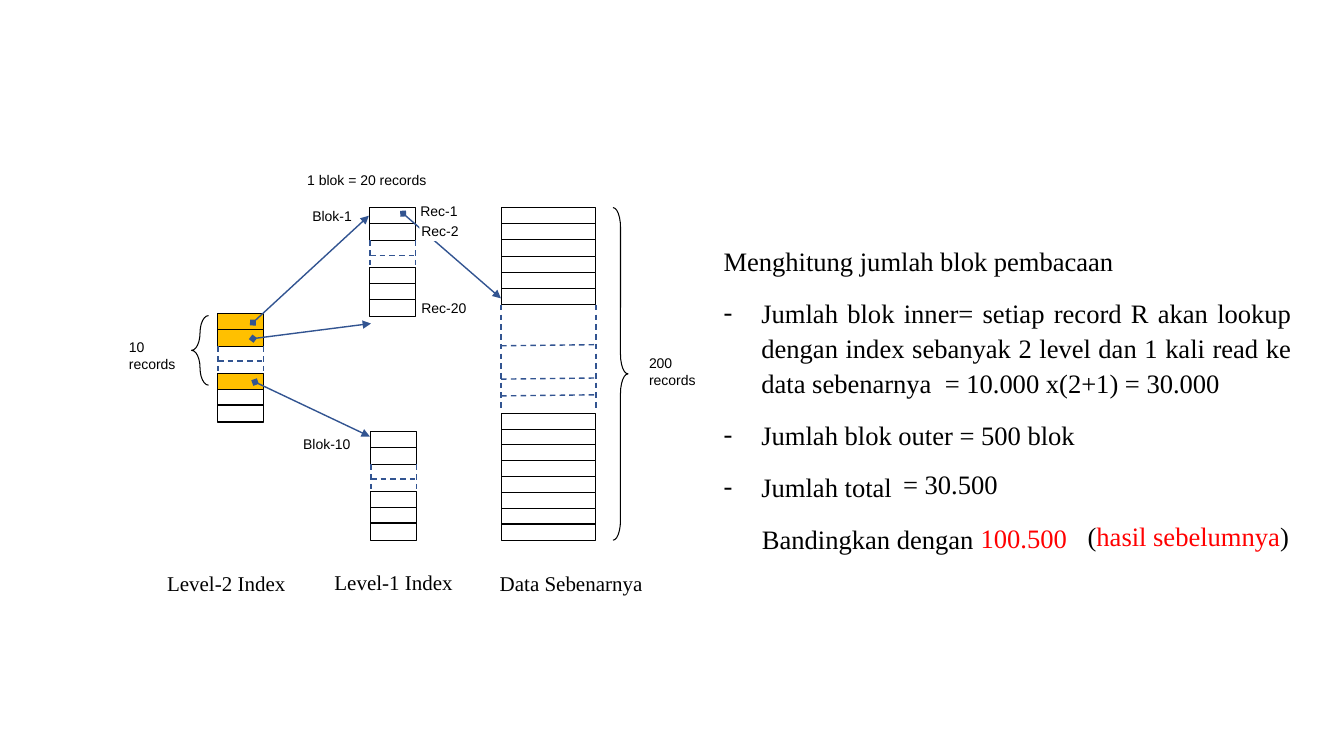
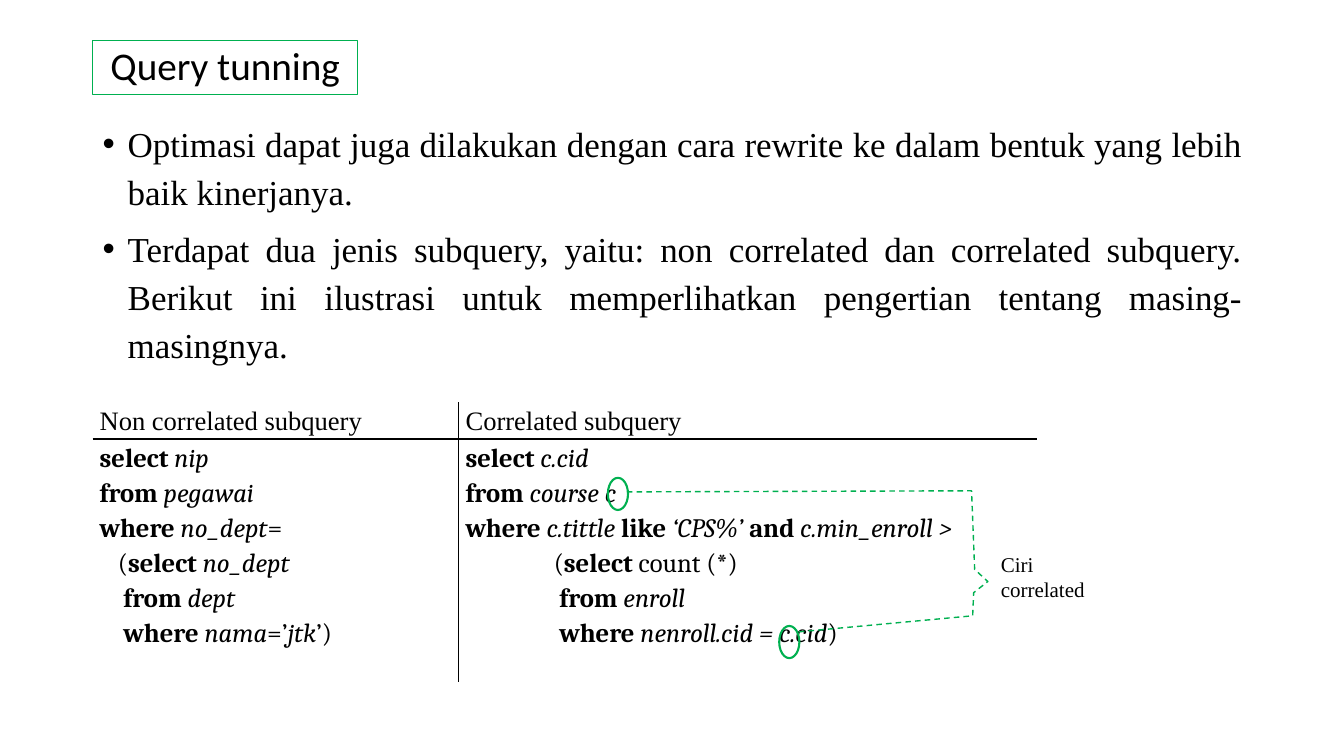
from collections import namedtuple
from dataclasses import dataclass

from lxml.etree import SubElement
from pptx import Presentation
from pptx.dml.color import RGBColor
from pptx.enum.dml import MSO_LINE
from pptx.enum.shapes import MSO_CONNECTOR, MSO_SHAPE
from pptx.enum.text import MSO_ANCHOR, PP_ALIGN
from pptx.oxml import parse_xml
from pptx.oxml.ns import nsdecls, qn
from pptx.util import Pt

Box = namedtuple("Box", "x y w h")


@dataclass(frozen=True)
class Theme:
    """Colours, fonts and type sizes shared by the slides."""
    black: str = "000000"
    white: str = "FFFFFF"
    blue: str = "325491"
    amber: str = "FFC000"
    red: str = "FF0000"
    green: str = "00B050"
    serif: str = "Times New Roman"
    sans: str = "Arial"
    head: str = "Calibri"
    code: str = "Cambria"
    note: int = 10
    label: int = 15
    text: int = 19
    body: int = 25
    title: int = 28


THEME = Theme()
PLAIN_GRID = "{2D5ABB26-0587-4C30-8999-92F81FD0307C}"

NOTES = [
    ("1 blok = 20 records", Box(127.4, 0, 105, 22)),
    ("Blok-1", Box(131, 25.7, 46, 15)),
    ("Blok-10", Box(124.5, 188.4, 53, 20)),
    ("10 records", Box(0, 119.3, 51, 40)),
    ("200 records", Box(371.5, 130.8, 51, 40)),
]
RECORDS = [
    ("Rec-1", Box(213.8, 24.3, 33, 14.4)),
    ("Rec-2", Box(214.5, 38.7, 33, 14.4)),
    ("Rec-20", Box(214.5, 93.4, 45, 14.4)),
]
LEVELS = [
    ("Level-2 Index", Box(27.3, 284.9, 124, 34)),
    ("Level-1 Index", Box(146.8, 284.2, 104, 34)),
    ("Data Sebenarnya", Box(264.9, 284.9, 124, 34)),
]
ARROWS = [
    (95.7, 111.4, 178.5, 35.1),
    (95.7, 122.9, 180, 112.1),
    (97.2, 153.9, 179.2, 192.8),
    (203, 33.6, 272.8, 94.1),
]
COUNTS = [
    "Jumlah blok inner= setiap record R akan lookup dengan index sebanyak "
    "2 level dan 1 kali read ke data sebenarnya  = 10.000 x(2+1) = 30.000",
    "Jumlah blok outer = 500 blok",
    "Jumlah total",
]
POINTS = [
    "Optimasi dapat juga dilakukan dengan cara rewrite ke dalam bentuk yang "
    "lebih baik kinerjanya.",
    "Terdapat dua jenis subquery, yaitu: non correlated dan correlated "
    "subquery. Berikut ini ilustrasi untuk memperlihatkan pengertian tentang "
    "masing-masingnya.",
]
SIMPLE = [
    (0, [("select ", "b"), ("nip", "i")]),
    (0, [("from ", "b"), ("pegawai", "i")]),
    (0, [("where ", "b"), ("no_dept", "i"), ("=", "")]),
    (13, [("(", ""), ("select ", "b"), ("no_dept", "i")]),
    (17, [("from ", "b"), ("dept", "i")]),
    (17, [("where ", "b"), ("nama", "i"), ("=’", ""), ("jtk", "i"), ("’)", "")]),
]
LINKED = [
    (0, [("select ", "b"), ("c.cid", "i")]),
    (0, [("from ", "b"), ("course c", "i")]),
    (0, [("where ", "b"), ("c.tittle ", "i"), ("like", "b"), (" ‘CPS%’ ", "i"),
         ("and ", "b"), ("c.min_enroll >", "i")]),
    (63, [("(", ""), ("select", "b"), (" count (*)", "")]),
    (67, [("from ", "b"), ("enroll", "i")]),
    (67, [("where ", "b"), ("nenroll.cid = c.cid", "i"), (")", "")]),
]
QUERIES = [("Non correlated subquery", SIMPLE), ("Correlated subquery", LINKED)]


def rgb(code):
    """Turn a hex code into a colour."""
    return RGBColor.from_string(code)


def within(box, part):
    """Shift a part by the corner of its box."""
    return Box(box.x + part.x, box.y + part.y, part.w, part.h)


def pts(values):
    """Turn numbers into point lengths."""
    return [Pt(value) for value in values]


def write(para, runs, face, size, color=THEME.black):
    """Fill a paragraph with (text, mark) runs: b bold, i italic, r red."""
    for text, mark in runs:
        run = para.add_run()
        run.text = text
        if mark in ("b", "i"):
            run.font.bold, run.font.italic = mark == "b", mark == "i"
    marks = [""] + [mark for _, mark in runs]
    for font, mark in zip([para.font] + [run.font for run in para.runs], marks):
        font.name, font.size = face, Pt(size)
        font.color.rgb = rgb(THEME.red if mark == "r" else color)


def space(para, lines, gap=0, left=0, hang=0, bullet=None, face=THEME.sans):
    """Justify a paragraph and set its spacing, indent and bullet."""
    para.alignment, para.line_spacing = PP_ALIGN.JUSTIFY, lines
    para.space_before = Pt(gap)
    props = para._p.get_or_add_pPr()
    props.set("marL", str(Pt(left)))
    props.set("indent", str(Pt(-hang)))
    if bullet:
        mark = parse_xml(f'<a:buChar {nsdecls("a")} char="{bullet}"/>')
        font = parse_xml(f'<a:buFont {nsdecls("a")} typeface="{face}"/>')
        rest = props.find(qn("a:defRPr"))
        for node in (font, mark):
            rest.addprevious(node)


def frame(slide, box, pad=None):
    """Add a wrapping text box."""
    shape = slide.shapes.add_textbox(*pts(box))
    text = shape.text_frame
    text.word_wrap = True
    if pad is not None:
        text.margin_left = text.margin_right = Pt(pad)
        text.margin_top = text.margin_bottom = Pt(pad)
    return shape


def label(slide, box, runs, size, face=THEME.serif, fill=None, pad=None):
    """Add a one-paragraph label."""
    shape = frame(slide, box, pad)
    if fill:
        shape.fill.solid()
        shape.fill.fore_color.rgb = rgb(fill)
    write(shape.text_frame.paragraphs[0], runs, face, size)


def ink(shape, color, width, fill=None):
    """Set outline and fill of a shape without shadow."""
    shape.shadow.inherit = False
    shape.line.color.rgb, shape.line.width = rgb(color), Pt(width)
    if fill:
        shape.fill.solid()
        shape.fill.fore_color.rgb = rgb(fill)
    else:
        shape.fill.background()


def preset(slide, kind, box, color, width, fill=None):
    """Add an inked preset shape."""
    shape = slide.shapes.add_shape(kind, *pts(box))
    ink(shape, color, width, fill)
    return shape


def link(slide, box, ends, arrow=False):
    """Draw a dashed line or a solid arrow inside a box."""
    x1, y1, x2, y2 = ends
    line = slide.shapes.add_connector(
        MSO_CONNECTOR.STRAIGHT,
        *pts((box.x + x1, box.y + y1, box.x + x2, box.y + y2)))
    line.line.color.rgb, line.line.width = rgb(THEME.blue), Pt(1)
    if arrow:
        stroke = line.line._get_or_add_ln()
        SubElement(stroke, qn("a:headEnd"), type="diamond")
        SubElement(stroke, qn("a:tailEnd"), type="triangle")
    else:
        line.line.dash_style = MSO_LINE.DASH
    SubElement(line._element.spPr, qn("a:effectLst"))


def stack(slide, box, step, fills):
    """Pile up record cells, the first of which fills the box."""
    for row, fill in enumerate(fills):
        cell = box._replace(y=box.y + row * step)
        preset(slide, MSO_SHAPE.RECTANGLE, cell, THEME.black, 0.75, fill)


def block(slide, box, fills):
    """Draw an index block: two cells, a dashed gap and three cells."""
    cell = box._replace(h=12.2)
    stack(slide, cell, 11.3, fills[:2])
    for ends in ((0, 23.5, 0, 53), (box.w, 23.5, box.w, 50), (0, 34, box.w, 34)):
        link(slide, box, ends)
    stack(slide, cell._replace(y=box.y + 43), 11.2, fills[2:])


def store(slide, box):
    """Draw the data column: six cells, a dashed gap and eight cells."""
    cell = box._replace(h=11.6)
    for x in (0, box.w):
        link(slide, box, (x, 69.5, x, 144.5))
    for y in (98.7, 122.5, 134.5):
        link(slide, box, (0, y, box.w, y - 0.8))
    stack(slide, cell, 11.55, [THEME.white] * 6)
    stack(slide, cell._replace(y=box.y + 146.9), 11.3, [THEME.white] * 8)


def diagram(slide, box):
    """Draw the two index levels, the data and their links."""
    white = [THEME.white] * 5
    amber = [THEME.amber] * 3 + white[:2]
    store(slide, within(box, Box(273, 29.3, 67.6, 237.6)))
    for x, y, fills in ((179.3, 29.3, white), (180, 189.2, white), (70.7, 104.9, amber)):
        block(slide, within(box, Box(x, y, 32.6, 77.6)), fills)
    for kind, part in ((MSO_SHAPE.RIGHT_BRACE, Box(352.8, 29.3, 10.8, 237.6)),
                       (MSO_SHAPE.LEFT_BRACE, Box(51.8, 106.4, 12.2, 49.7))):
        brace = preset(slide, kind, within(box, part), THEME.black, 0.75)
        brace.adjustments[0] = 1.3
    for text, part in NOTES:
        label(slide, within(box, part), [(text, "")], THEME.note, THEME.sans)
    for ends in ARROWS:
        link(slide, box, ends, True)
    for text, part in RECORDS:
        label(slide, within(box, part), [(text, "")], THEME.note, THEME.sans,
              THEME.white, 1.5)
    for text, part in LEVELS:
        label(slide, within(box, part), [(text, "")], THEME.label)


def counts(slide, box):
    """Write the block count and its results."""
    text = frame(slide, box).text_frame
    lines = [("Menghitung jumlah blok pembacaan", 0, 0, None)]
    lines += [(line, 27, 27, "-") for line in COUNTS]
    lines += [("Bandingkan dengan", 27.4, 0, None)]
    for row, (line, left, hang, bullet) in enumerate(lines):
        para = text.add_paragraph() if row else text.paragraphs[0]
        write(para, [(line, "")], THEME.serif, THEME.text)
        space(para, 1.1, 6, left, hang, bullet, THEME.serif)
        para.space_after = Pt(6)
    for part, runs in (
            (Box(128.2, 161.7, 83, 30), [("= 30.500", "")]),
            (Box(183.6, 200.2, 82, 30), [("100.500", "r")]),
            (Box(260, 198.7, 165, 30),
             [("(", ""), ("hasil sebelumnya", "r"), (")", "")])):
        label(slide, within(box, part), runs, THEME.text)


def title(slide, box, text):
    """Write the framed title."""
    shape = frame(slide, box)
    shape.line.color.rgb, shape.line.width = rgb(THEME.green), Pt(0.75)
    shape.text_frame.vertical_anchor = MSO_ANCHOR.MIDDLE
    para = shape.text_frame.paragraphs[0]
    write(para, [(text, "")], THEME.head, THEME.title)
    para.alignment, para.line_spacing = PP_ALIGN.CENTER, 0.9


def points(slide, box):
    """Write the bulleted body."""
    text = frame(slide, box).text_frame
    for row, line in enumerate(POINTS):
        para = text.add_paragraph() if row else text.paragraphs[0]
        write(para, [(line, "")], THEME.serif, THEME.body)
        space(para, 1.15, 6, 18, 18, "•")


def edge(cell, sides):
    """Draw black borders on the given sides of a cell."""
    props = cell._tc.get_or_add_tcPr()
    for spot, side in enumerate(sides):
        props.insert(spot, parse_xml(
            f'<a:ln{side} {nsdecls("a")} w="12700"><a:solidFill>'
            f'<a:srgbClr val="{THEME.black}"/></a:solidFill></a:ln{side}>'))


def queries(slide, box):
    """Set the two kinds of subquery side by side."""
    grid = slide.shapes.add_table(2, 2, *pts(box)).table
    grid.first_row = grid.horz_banding = False
    grid._tbl.tblPr.find(qn("a:tableStyleId")).text = PLAIN_GRID
    for col, width in enumerate((261.4, box.w - 261.4)):
        grid.columns[col].width = Pt(width)
    for row, height in enumerate((23.8, box.h - 23.8)):
        grid.rows[row].height = Pt(height)
    for col, (name, code) in enumerate(QUERIES):
        parts = (([(0, [(name, "")])], THEME.serif), (code, THEME.code))
        for row, (lines, face) in enumerate(parts):
            cell = grid.cell(row, col)
            cell.fill.background()
            cell.margin_left = cell.margin_right = Pt(5)
            cell.margin_top = cell.margin_bottom = 0
            for spot, (left, runs) in enumerate(lines):
                text = cell.text_frame
                para = text.add_paragraph() if spot else text.paragraphs[0]
                write(para, runs, face, THEME.text)
                space(para, 1.15, 0, left)
            edge(cell, "RL"[col] + "BT"[row])


def trait(slide, box):
    """Ring the shared alias and tie both uses to a remark."""
    label(slide, within(box, Box(273.6, 48.9, 93.6, 46.8)),
          [("Ciri correlated", "")], THEME.label, fill=THEME.white)
    for x, y in ((0, 0), (122.4, 105.8)):
        ring = within(box, Box(x, y, 14.4, 23))
        preset(slide, MSO_SHAPE.OVAL, ring, THEME.green, 1.5)
    path = [(13.6, 10.1), (259.8, 9.3), (262, 65.5), (271.4, 74.1),
            (261.3, 82.1), (260.6, 98.6), (136, 110.1)]
    path = [pts((box.x + x, box.y + y)) for x, y in path]
    pen = slide.shapes.build_freeform(*path[0])
    pen.add_line_segments(path[1:], close=False)
    tie = pen.convert_to_shape()
    ink(tie, THEME.green, 1)
    tie.line.dash_style = MSO_LINE.DASH


def main():
    """Build both slides and save the deck."""
    deck = Presentation()
    deck.slide_width, deck.slide_height = Pt(960), Pt(540)
    first, second = (deck.slides.add_slide(deck.slide_layouts[6]) for _ in range(2))
    diagram(first, Box(85, 119, 423, 319))
    counts(first, Box(509.8, 169.2, 419.8, 231.8))
    title(second, Box(66.2, 28.8, 189.4, 38.9), "Query tunning")
    points(second, Box(66.2, 79.2, 828, 190.8))
    queries(second, Box(66.2, 287.3, 674.7, 197.3))
    trait(second, Box(434.2, 341.3, 367.2, 128.8))
    deck.save("out.pptx")


if __name__ == "__main__":
    main()
